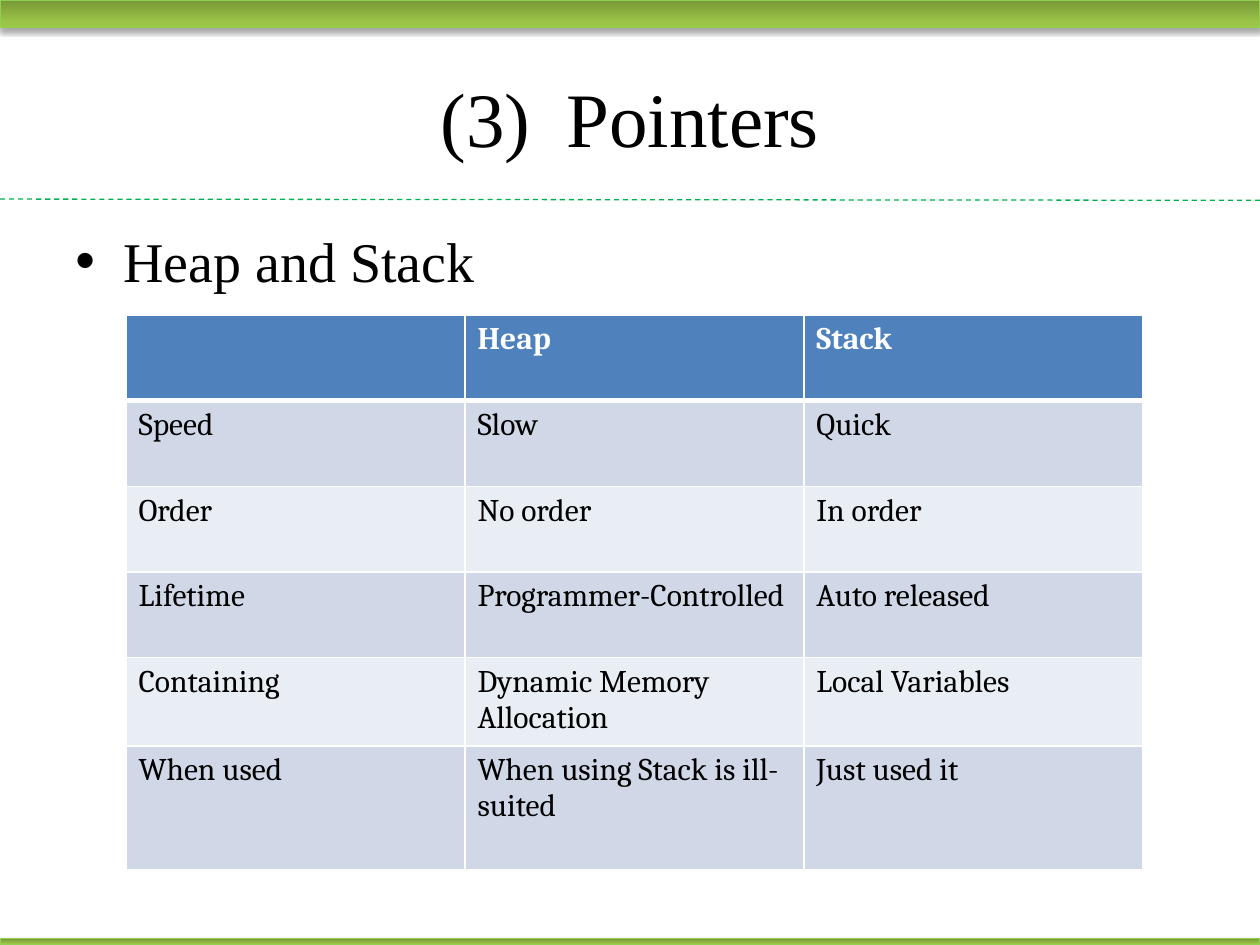
from pptx import Presentation
from pptx.dml.color import RGBColor
from pptx.enum.dml import MSO_LINE
from pptx.enum.shapes import MSO_CONNECTOR, MSO_SHAPE
from pptx.enum.text import MSO_ANCHOR, PP_ALIGN
from pptx.oxml import parse_xml
from pptx.oxml.ns import nsdecls
from pptx.util import Inches, Pt
from lxml.etree import SubElement

BLACK = RGBColor(0x00, 0x00, 0x00)
WHITE = RGBColor(0xFF, 0xFF, 0xFF)
BAR_EDGE = RGBColor(0x92, 0xD0, 0x50)
RULE = RGBColor(0x00, 0xB0, 0x50)
HEADER = RGBColor(0x4F, 0x81, 0xBD)
BANDS = RGBColor(0xD0, 0xD8, 0xE8), RGBColor(0xE9, 0xED, 0xF4)
BAR_STOPS = (
    (0, RGBColor(0x77, 0x97, 0x37)),
    (80, RGBColor(0x9B, 0xC3, 0x48)),
    (100, RGBColor(0x9D, 0xC7, 0x46)),
)

ROWS = (
    ("", "Heap", "Stack"),
    ("Speed", "Slow", "Quick"),
    ("Order", "No order", "In order"),
    ("Lifetime", "Programmer-Controlled", "Auto released"),
    ("Containing", "Dynamic Memory Allocation", "Local Variables"),
    ("When used", "When using Stack is ill-suited", "Just used it"),
)
COL_WIDTH, ROW_HEIGHT, LAST_HEIGHT = 2.69, 0.68, 0.98


class SlideBuilder:
    """Draws on one slide; lengths are in columns and rows of a one-inch grid."""

    heading_font = "Times New Roman"
    table_font = "Cambria"

    def __init__(self, slide):
        self.slide = slide

    def bar(self, top, height):
        """Full-width green bar, darker at the top, with a soft shadow below."""
        sp = self.slide.shapes.add_shape(
            MSO_SHAPE.RECTANGLE, 0, Inches(top), Inches(10), Inches(height))
        sp.line.color.rgb = BAR_EDGE
        sp.line.width = Pt(0.75)
        stops = "".join(
            f'<a:gs pos="{pos * 1000}"><a:srgbClr val="{color}"/></a:gs>'
            for pos, color in BAR_STOPS)
        sp.fill.background()
        no_fill = sp.element.spPr.find("{*}noFill")
        sp.element.spPr.replace(no_fill, parse_xml(
            f'<a:gradFill {nsdecls("a")} rotWithShape="1"><a:gsLst>{stops}</a:gsLst>'
            '<a:lin ang="5400000" scaled="0"/></a:gradFill>'))
        sp.shadow.inherit = False
        sp.element.spPr.find("{*}effectLst").append(parse_xml(
            f'<a:outerShdw {nsdecls("a")} blurRad="{Pt(3.1)}" dist="{Pt(1.8)}" '
            'dir="5400000" rotWithShape="0"><a:srgbClr val="000000">'
            '<a:alpha val="35000"/></a:srgbClr></a:outerShdw>'))

    def dashed_rule(self, start_y, end_y):
        line = self.slide.shapes.add_connector(
            MSO_CONNECTOR.STRAIGHT, 0, Inches(start_y), Inches(10), Inches(end_y))
        line.line.color.rgb = RULE
        line.line.width = Pt(0.75)
        line.line.dash_style = MSO_LINE.DASH
        line.element.spPr.append(parse_xml(f'<a:effectLst {nsdecls("a")}/>'))

    def style_runs(self, p, font, size, color=BLACK, bold=False):
        for r in p.runs:
            r.font.name = font
            r.font.size = Pt(size)
            r.font.color.rgb = color
            r.font.bold = bold

    def text(self, text, top, height, size):
        """Text box between the side margins; returns its frame."""
        tf = self.slide.shapes.add_textbox(
            Inches(0.5), Inches(top), Inches(9), Inches(height)).text_frame
        tf.word_wrap = True
        tf.text = text
        self.style_runs(tf.paragraphs[0], self.heading_font, size)
        return tf

    def title(self, text):
        tf = self.text(text, 0.3, 1.25, 44)
        tf.vertical_anchor = MSO_ANCHOR.MIDDLE
        tf.paragraphs[0].alignment = PP_ALIGN.CENTER

    def bullet(self, text):
        p = self.text(text, 1.75, 1, 32).paragraphs[0]
        p.space_before = Pt(6.4)
        pPr = p._p.get_or_add_pPr()
        pPr.set("marL", str(Inches(0.38)))
        pPr.set("indent", str(-Inches(0.38)))
        pPr.append(parse_xml(f'<a:buFont {nsdecls("a")} typeface="Arial"/>'))
        pPr.append(parse_xml(f'<a:buChar {nsdecls("a")} char="•"/>'))

    def cell_borders(self, cell, **widths):
        """White borders, 1 pt unless a side (L, R, T, B) is given a width."""
        tcPr = cell._tc.get_or_add_tcPr()
        for side in "LRTB":
            tcPr.append(parse_xml(
                f'<a:ln{side} {nsdecls("a")} w="{Pt(widths.get(side, 1))}">'
                f'<a:solidFill><a:srgbClr val="{WHITE}"/></a:solidFill></a:ln{side}>'))

    def table(self, rows, left, top):
        heights = [ROW_HEIGHT] * (len(rows) - 1) + [LAST_HEIGHT]
        table = self.slide.shapes.add_table(
            len(rows), len(rows[0]), Inches(left), Inches(top),
            Inches(COL_WIDTH * len(rows[0])), Inches(sum(heights))).table
        for column in table.columns:
            column.width = Inches(COL_WIDTH)
        for i, (row, height) in enumerate(zip(rows, heights)):
            table.rows[i].height = Inches(height)
            head = i == 0
            thick = {0: {"B": 3}, 1: {"T": 3}}.get(i, {})
            for j, text in enumerate(row):
                cell = table.cell(i, j)
                self.cell_borders(cell, **thick)
                cell.fill.solid()
                cell.fill.fore_color.rgb = HEADER if head else BANDS[(i - 1) % 2]
                if text:
                    cell.text_frame.text = text
                    self.style_runs(cell.text_frame.paragraphs[0], self.table_font,
                                    18, WHITE if head else BLACK, head)


def main():
    prs = Presentation()
    prs.slide_width, prs.slide_height = Inches(10), Inches(7.5)
    s = SlideBuilder(prs.slides.add_slide(prs.slide_layouts[6]))
    s.bar(0, 0.22)
    s.dashed_rule(1.58, 1.59)
    s.bar(7.45, 0.05)
    s.title("(3)\tPointers")
    s.bullet("Heap and Stack")
    s.table(ROWS, 1, 2.5)
    prs.save("out.pptx")


if __name__ == "__main__":
    main()
